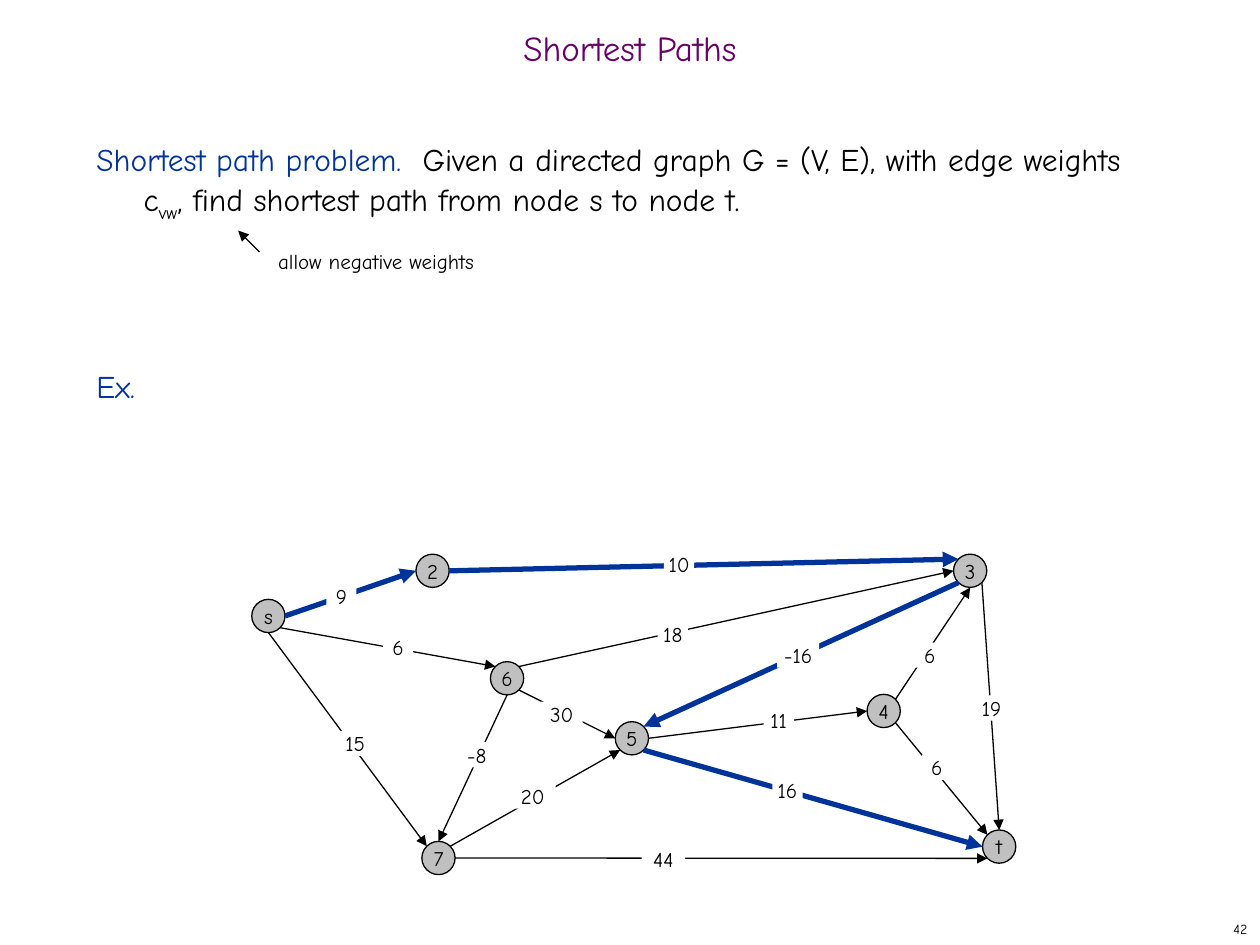
import math
from dataclasses import dataclass

import pptx
import pptx.dml.color
import pptx.enum.shapes
import pptx.enum.text
import pptx.oxml
import pptx.oxml.ns
import pptx.util

Pt = pptx.util.Pt
Color = pptx.dml.color.RGBColor.from_string
Align = pptx.enum.text.PP_ALIGN
Anchor = pptx.enum.text.MSO_ANCHOR
Shape = pptx.enum.shapes.MSO_SHAPE
Link = pptx.enum.shapes.MSO_CONNECTOR


@dataclass(frozen=True)
class Theme:
    """Colours, font and sizes of the slide."""
    font: str = "Comic Neue"
    ink: str = "000000"
    blue: str = "003399"
    plum: str = "660066"
    gray: str = "C0C0C0"
    paper: str = "FFFFFF"
    title: float = 20
    body: float = 18
    small: float = 12
    page: float = 8
    thin: float = 0.75
    bold: float = 3


THEME = Theme()
RADIUS = 9.5
LABEL = 14.4

NODES = {
    "s": (9.4, 35.2), "2": (103.2, 9.4), "3": (410.4, 9.4),
    "6": (145.8, 70.8), "5": (217.1, 105.1), "4": (361, 89.5),
    "7": (106.6, 173.5), "t": (427, 167),
}

PORTS = {"R": 0, "BR": 45, "B": 90, "BL": 135, "L": 180, "TL": 225, "T": 270, "TR": 315}

# start, port, end, port, on the shortest path, weight, label centre, label width
EDGES = [
    ("s", "R", "2", "L", True, "9", (51.1, 23.8), 17.3),
    ("s", "BR", "6", "TL", False, "6", (83.5, 53.3), 17.3),
    ("s", "B", "7", "TL", False, "15", (59, 108), 17.3),
    ("6", "TR", "3", "L", False, "18", (240.5, 45.4), 17.3),
    ("4", "TR", "3", "B", False, "6", (387.4, 57.6), 17.3),
    ("6", "BR", "5", "L", False, "30", (177, 91.4), 24),
    ("5", "BR", "t", "L", True, "16", (306, 134.6), 17.3),
    ("5", "R", "4", "L", False, "11", (301, 95), 17.3),
    ("4", "BR", "t", "TL", False, "6", (391.3, 121.7), 16.6),
    ("3", "BL", "5", "TR", True, "-16", (312.1, 57.6), 24),
    ("6", "B", "7", "T", False, "-8", (128.5, 114.5), 17.3),
    ("7", "TR", "5", "BL", False, "20", (160.5, 138.2), 26),
    ("2", "R", "3", "TL", True, "10", (244.1, 5.8), 17.3),
    ("7", "R", "t", "BL", False, "44", (235.1, 174.2), 25),
    ("3", "BR", "t", "T", False, "19", (422.6, 87.8), 17.3),
]


def style(para, size, color, align=Align.LEFT):
    """Set the font and alignment of a paragraph."""
    para.alignment = align
    para.font.name = THEME.font
    para.font.size = Pt(size)
    para.font.color.rgb = Color(color)


def write(slide, box, text, size, color, align=Align.LEFT, anchor=Anchor.TOP):
    """Add a one-paragraph text box and return its paragraph."""
    frame = slide.shapes.add_textbox(*map(Pt, box)).text_frame
    frame.word_wrap = True
    frame.vertical_anchor = anchor
    para = frame.paragraphs[0]
    para.text = text
    style(para, size, color, align)
    return para


def draw(slide, kind, box, fill, text, line=None):
    """Add a filled shape with a centred small text."""
    shape = slide.shapes.add_shape(kind, *map(Pt, box))
    shape.shadow.inherit = False
    shape.fill.solid()
    shape.fill.fore_color.rgb = Color(fill)
    if line:
        shape.line.color.rgb = Color(line)
        shape.line.width = Pt(THEME.thin)
    else:
        shape.line.fill.background()
    frame = shape.text_frame
    frame.word_wrap = False
    frame.margin_left = frame.margin_right = 0
    frame.margin_top = frame.margin_bottom = 0
    frame.vertical_anchor = Anchor.MIDDLE
    frame.text = text
    style(frame.paragraphs[0], THEME.small, THEME.ink, Align.CENTER)


def arrow(slide, start, end, color, width):
    """Add a straight arrow from start to end."""
    link = slide.shapes.add_connector(Link.STRAIGHT, *map(Pt, (*start, *end)))
    link.line.color.rgb = Color(color)
    link.line.width = Pt(width)
    space = pptx.oxml.ns.nsdecls("a")
    tail = pptx.oxml.parse_xml(f'<a:tailEnd {space} type="triangle"/>')
    link.line._get_or_add_ln().append(tail)
    link._element.spPr.append(pptx.oxml.parse_xml(f"<a:effectLst {space}/>"))


def title(slide, box):
    """Write the slide title."""
    para = write(slide, box, "Shortest Paths", THEME.title, THEME.plum,
                 Align.CENTER, Anchor.MIDDLE)
    para.line_spacing = 0.7


def body(slide, box):
    """Write the problem statement and the example heading."""
    first = write(slide, box, "", THEME.body, THEME.ink)
    lead = first.add_run()
    lead.text = "Shortest path problem. "
    lead.font.color.rgb = Color(THEME.blue)
    first.add_run().text = " Given a directed graph G = (V, E), with edge weights c"
    sub = first.add_run()
    sub.text = "vw"
    sub._r.get_or_add_rPr().set("baseline", "-25000")
    first.add_run().text = ", find shortest path from node s to node t."
    last = first._parent.add_paragraph()
    last.text = "Ex."
    style(last, THEME.body, THEME.blue)
    last.space_before = Pt(78)
    for para in (first, last):
        para.line_spacing = Pt(26)
        props = para._p.get_or_add_pPr()
        props.set("marL", str(Pt(27)))
        props.set("indent", str(Pt(-27)))


def note(slide, box):
    """Write the remark on weights with its arrow."""
    left, top, wide, high = box
    arrow(slide, (left + 12.2, top + 12.2), (left, top), THEME.ink, THEME.thin)
    write(slide, (left + 15.8, top + 6.5, wide - 15.8, high - 6.5),
          "allow negative weights", THEME.small, THEME.ink)


def graph(slide, box):
    """Draw the weighted graph with its shortest path."""
    left, top = box[:2]

    def port(node, side):
        """Find the point on the rim of a node."""
        x, y = NODES[node]
        turn = math.radians(PORTS[side])
        return left + x + RADIUS * math.cos(turn), top + y + RADIUS * math.sin(turn)

    for name, (x, y) in NODES.items():
        draw(slide, Shape.OVAL, (left + x - RADIUS, top + y - RADIUS, 2 * RADIUS, 2 * RADIUS),
             THEME.gray, name, THEME.ink)
    for head, out, tail, into, main, *_ in EDGES:
        arrow(slide, port(head, out), port(tail, into),
              THEME.blue if main else THEME.ink, THEME.bold if main else THEME.thin)
    for *_, cost, (x, y), wide in EDGES:
        draw(slide, Shape.RECTANGLE, (left + x - wide / 2, top + y - LABEL / 2, wide, LABEL),
             THEME.paper, cost)


def main():
    """Build the slide and save it."""
    deck = pptx.Presentation()
    deck.slide_width, deck.slide_height = Pt(720), Pt(540)
    slide = deck.slides.add_slide(deck.slide_layouts[6])
    write(slide, (570, 522, 150, 18), "42", THEME.page, THEME.ink, Align.RIGHT, Anchor.MIDDLE)
    title(slide, (0, 12, 720, 36))
    body(slide, (48, 72, 618, 426))
    graph(slide, (144, 316.8, 436.5, 183))
    note(slide, (136.1, 131.8, 142.5, 28))
    deck.save("out.pptx")


if __name__ == "__main__":
    main()
